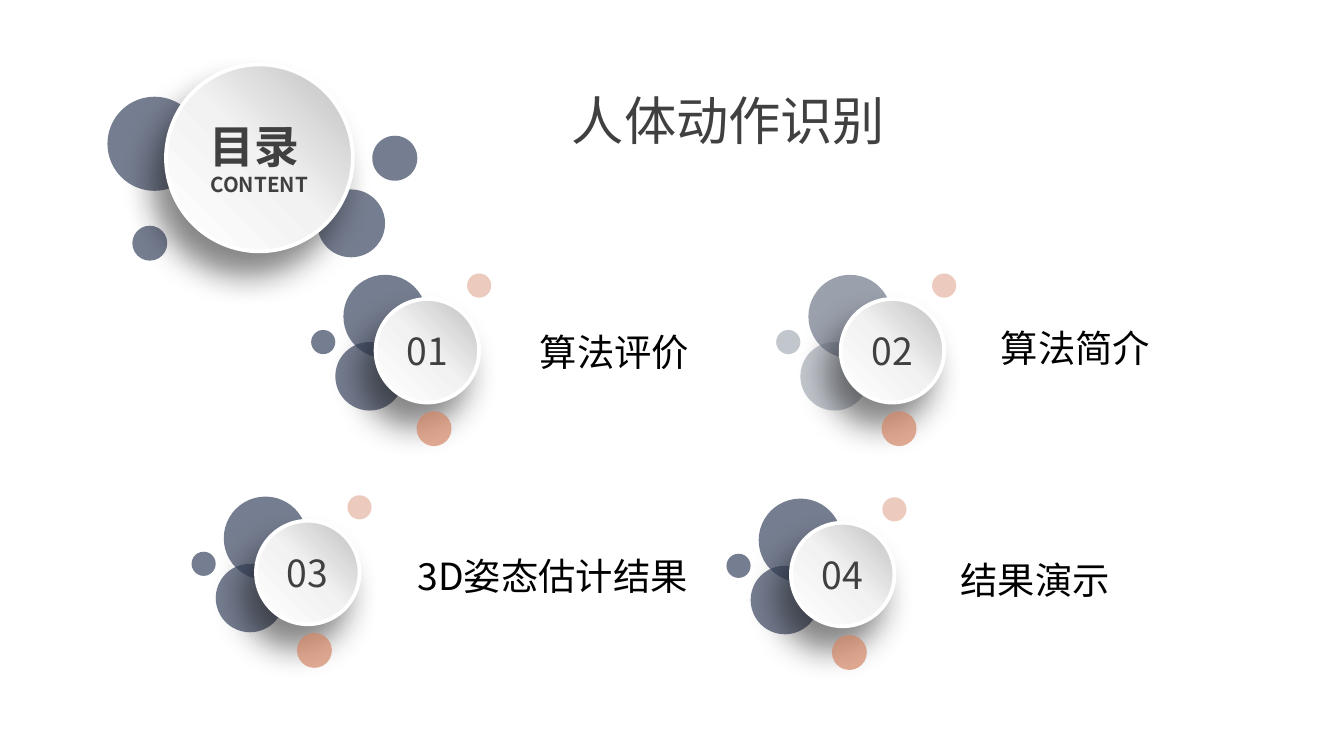
import copy
import pptx
import pptx.util
import pptx.dml.color
import pptx.enum.shapes
import pptx.enum.text
import pptx.oxml.ns
from lxml import etree

RGBColor = pptx.dml.color.RGBColor
Pt = pptx.util.Pt
qn = pptx.oxml.ns.qn
Anchor = pptx.enum.text.MSO_ANCHOR

NAVY = RGBColor(0x3B, 0x47, 0x61)
SLATE = RGBColor(0x70, 0x78, 0x8A)
MIST = RGBColor(0xA9, 0xAE, 0xB9)
CORAL = RGBColor(0xD3, 0x86, 0x66)
PEACH = RGBColor(0xE5, 0xB6, 0xA3)
WHITE = RGBColor(0xFF, 0xFF, 0xFF)
PALE = RGBColor(0xF2, 0xF2, 0xF2)
SILVER = RGBColor(0xBF, 0xBF, 0xBF)
CHARCOAL = RGBColor(0x40, 0x40, 0x40)
BLACK = RGBColor(0, 0, 0)
SHADE = RGBColor(0x0D, 0x0D, 0x0D)

TOPICS = [
    ("01", "算法评价", (559, 445), (725, 516, 430), NAVY, NAVY),
    ("03", "3D姿态估计结果", (381, 775), (543, 850, 510), NAVY, NAVY),
    ("02", "算法简介", (1251, 445), (1411, 511, 430), SLATE, MIST),
    ("04", "结果演示", (1177, 778), (1351, 856, 430), NAVY, NAVY),
]


class Painter:
    """Holds the style and the current slide, and draws each kind of element."""

    scale = 4572
    font = "Noto Sans CJK SC"

    def __init__(self, page):
        self.page = page

    def px(self, *lengths):
        return [pptx.util.Emu(length * self.scale) for length in lengths]

    def format(self, para, color, size=None, bold=None):
        para.font.color.rgb = color
        para.font.name = self.font
        para.font.bold = bold
        if size:
            para.font.size = Pt(size)
        default = para._p.pPr.find(qn("a:defRPr"))
        etree.SubElement(default, qn("a:ea"), typeface=self.font)

    def circle(self, group, left, top, size):
        oval = pptx.enum.shapes.MSO_SHAPE.OVAL
        shape = group.shapes.add_shape(oval, *self.px(left, top, size, size))
        shape.shadow.inherit = False
        return shape

    def dot(self, group, left, top, size, color):
        shape = self.circle(group, left, top, size)
        shape.fill.solid()
        shape.fill.fore_color.rgb = color
        shape.line.fill.background()
        tint = shape._element.spPr.find(".//" + qn("a:srgbClr"))
        etree.SubElement(tint, qn("a:alpha"), val="70000")

    def ball(self, group, left, top, size):
        shape = self.circle(group, left, top, size)
        shape.fill.gradient()
        shape.fill.gradient_angle = 225
        stops = shape._element.spPr.find(".//" + qn("a:gsLst"))
        stops.append(copy.deepcopy(stops[-1]))
        looks = [(0, SILVER), (0.5, PALE), (1, WHITE)]
        for stop, (position, color) in zip(shape.fill.gradient_stops, looks):
            stop.position = position
            stop.color.rgb = color
        shape.line.color.rgb = WHITE
        shape.line.width = Pt(2)
        effects = shape._element.spPr.find(qn("a:effectLst"))
        shadow = etree.SubElement(
            effects, qn("a:outerShdw"), blurRad=str(Pt(17)), dist=str(Pt(14)),
            dir=str(120 * 60000), algn="ctr", rotWithShape="0")
        tint = etree.SubElement(shadow, qn("a:srgbClr"), val=str(SHADE))
        etree.SubElement(tint, qn("a:alpha"), val="50000")
        frame = shape.text_frame
        frame.margin_left = frame.margin_right = 0
        frame.margin_top = frame.margin_bottom = 0
        frame.vertical_anchor = Anchor.MIDDLE
        para = frame.paragraphs[0]
        para.alignment = pptx.enum.text.PP_ALIGN.CENTER
        return para

    def label(self, group, left, top, width, text):
        box = group.shapes.add_textbox(*self.px(left, top, width, 40))
        frame = box.text_frame
        frame.word_wrap = False
        frame.vertical_anchor = Anchor.BOTTOM
        frame.margin_left = self.px(78)[0]
        frame.margin_right = frame.margin_top = frame.margin_bottom = 0
        frame.text = text
        self.format(frame.paragraphs[0], BLACK, 20)

    def title(self, left, top, width, height, text):
        box = self.page.shapes.title
        box.left, box.top, box.width, box.height = self.px(left, top, width, height)
        frame = box.text_frame
        frame.text = text
        frame.word_wrap = False
        frame.auto_size = pptx.enum.text.MSO_AUTO_SIZE.NONE
        frame.vertical_anchor = Anchor.TOP
        para = frame.paragraphs[0]
        para.alignment = pptx.enum.text.PP_ALIGN.LEFT
        self.format(para, CHARCOAL, 28)

    def heading(self):
        group = self.page.shapes.add_group_shape()
        for left, top, size in [(197, 336, 52), (472, 282, 101), (160, 144, 140)]:
            self.dot(group, left, top, size, NAVY)
        para = self.ball(group, 247, 96, 278)
        self.dot(group, 554, 202, 67, NAVY)
        self.format(para, CHARCOAL, bold=True)
        span = para.add_run()
        span.text = "目录 "
        span.font.size = Pt(24)
        para.add_line_break()
        span = para.add_run()
        span.text = "CONTENT"
        span.font.size = Pt(11)

    def topic(self, number, text, ball_at, label_at, large_color, small_color):
        left, top = ball_at
        group = self.page.shapes.add_group_shape()
        self.dot(group, left - 60, top + 64, 102, small_color)
        self.dot(group, left - 48, top - 36, 124, large_color)
        para = self.ball(group, left, top, 154)
        para.text = number
        self.format(para, CHARCOAL, 20)
        self.dot(group, left + 61, top + 167, 52, CORAL)
        self.dot(group, left - 96, top + 46, 36, small_color)
        self.dot(group, left + 136, top - 38, 36, PEACH)
        self.label(group, *label_at, text)


def main():
    deck = pptx.Presentation()
    deck.slide_width, deck.slide_height = Painter.scale * 2000, Painter.scale * 1125
    painter = Painter(deck.slides.add_slide(deck.slide_layouts[5]))
    painter.title(831, 122, 554, 134, "人体动作识别")
    painter.heading()
    for topic in TOPICS:
        painter.topic(*topic)
    deck.save("out.pptx")


if __name__ == "__main__":
    main()
